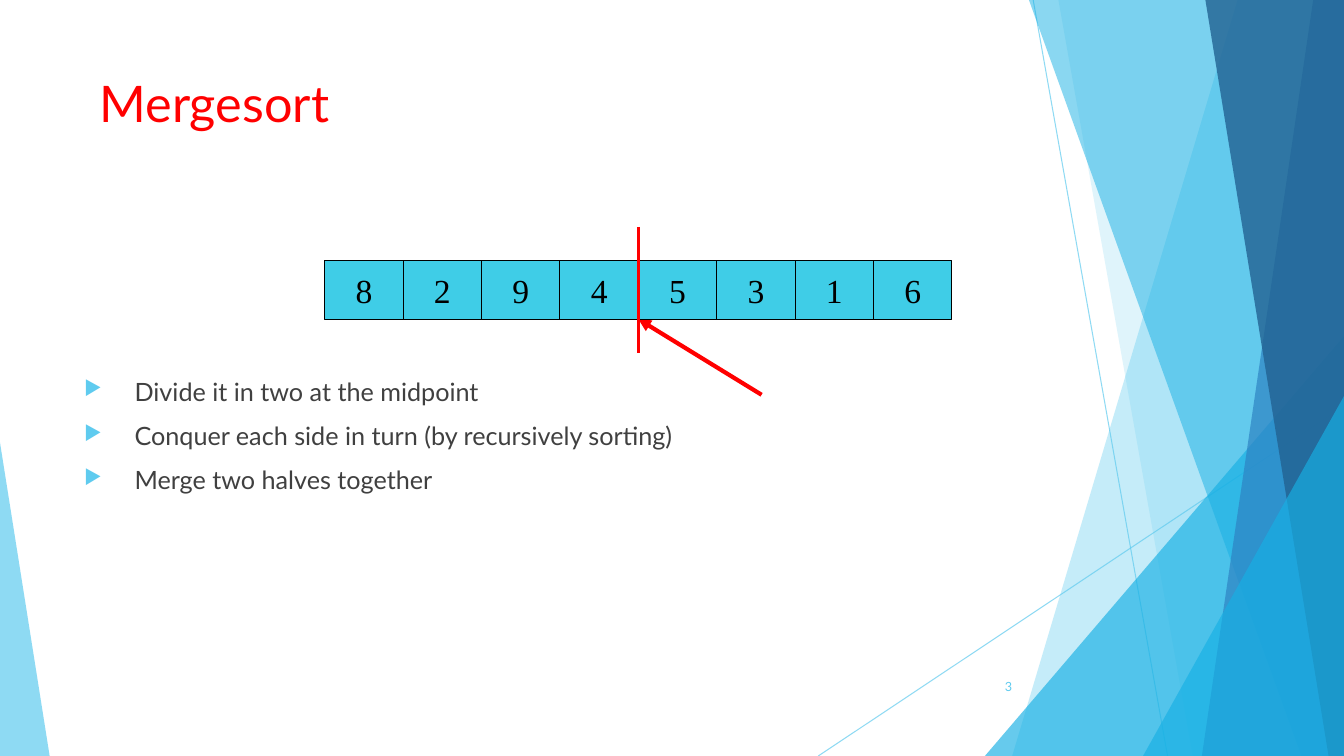
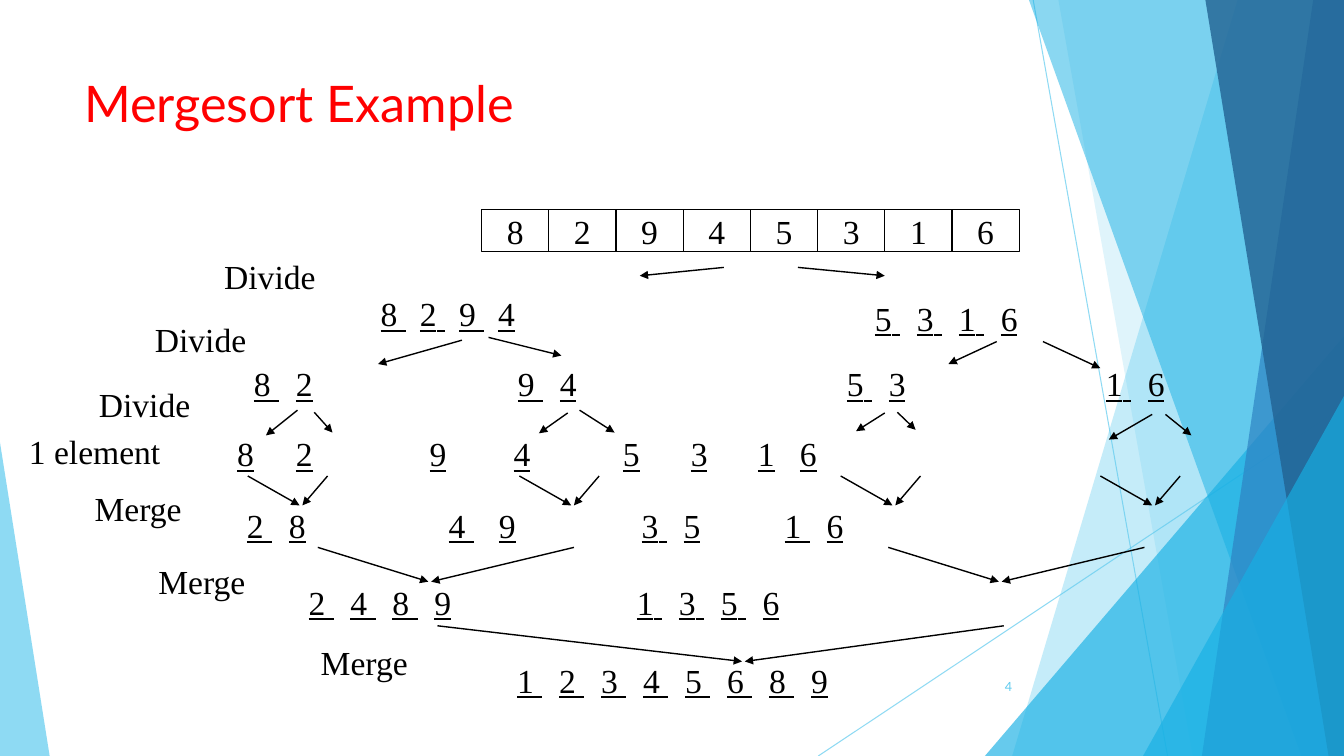
from dataclasses import dataclass

import lxml.etree
import pptx
import pptx.dml.color
import pptx.enum.shapes
import pptx.enum.text
import pptx.oxml.ns
import pptx.util

Pt = pptx.util.Pt
qn = pptx.oxml.ns.qn
ALIGN = pptx.enum.text.PP_ALIGN
ANCHOR = pptx.enum.text.MSO_ANCHOR
SHAPE = pptx.enum.shapes.MSO_SHAPE


@dataclass(frozen=True)
class Theme:
    width: int = 960
    height: int = 540
    sans: str = "Lato"
    serif: str = "Times New Roman"
    title_size: int = 36
    body_size: int = 18
    diagram_size: int = 24
    number_size: int = 9
    red: str = "FF0000"
    black: str = "000000"
    grey: str = "404040"
    cell: str = "3FCDE7"
    sky: str = "5FCBEF"
    cyan: str = "17B0E4"
    blue: str = "2E83C3"
    navy: str = "226292"


T = Theme()
VALUES = "82945316"


def rgb(color):
    return pptx.dml.color.RGBColor.from_string(color)


def add_xml(parent, tag, **attrs):
    el = lxml.etree.SubElement(parent, qn(tag))
    for name, value in attrs.items():
        el.set(name, str(value))
    return el


def set_opacity(sp, percent):
    for clr in sp.element.spPr.iter(qn("a:srgbClr")):
        add_xml(clr, "a:alpha", val=percent * 1000)


def write_text(tf, text, *, size, font, color, align=ALIGN.LEFT,
               underline=False, gap=None):
    """Write one paragraph per line; gap is the width of each space in points."""
    for i, line in enumerate(text.split("\n")):
        p = tf.add_paragraph() if i else tf.paragraphs[0]
        p.alignment = align
        for piece in line if gap else [line]:
            r = p.add_run()
            r.text = piece
            r.font.size = Pt(size)
            r.font.name = font
            r.font.color.rgb = rgb(color)
            r.font.underline = underline
            if piece == " ":
                extra = gap - size / 4
                r._r.get_or_add_rPr().set("spc", str(round(extra * 100)))


def add_text(slide, text, x, y, w, h, anchor=ANCHOR.TOP, **fmt):
    tf = slide.shapes.add_textbox(Pt(x), Pt(y), Pt(w), Pt(h)).text_frame
    tf.word_wrap = True
    tf.vertical_anchor = anchor
    write_text(tf, text, **fmt)
    return tf


def add_line(slide, x1, y1, x2, y2, color=T.black, width=1, arrow=False):
    cn = slide.shapes.add_connector(
        pptx.enum.shapes.MSO_CONNECTOR.STRAIGHT, Pt(x1), Pt(y1), Pt(x2), Pt(y2))
    cn.line.color.rgb = rgb(color)
    cn.line.width = Pt(width)
    if arrow:
        add_xml(cn.element.spPr.find(qn("a:ln")), "a:tailEnd", type="triangle")
    add_xml(cn.element.spPr, "a:effectLst")
    return cn


def fill_plain(sp, color, opacity):
    sp.shadow.inherit = False
    sp.fill.solid()
    sp.fill.fore_color.rgb = rgb(color)
    sp.line.fill.background()
    set_opacity(sp, opacity)


def add_band(slide, top_x, bottom_x, color, opacity):
    """Fill from a slanted left edge to the right side of the slide."""
    fb = slide.shapes.build_freeform(Pt(top_x), 0)
    fb.add_line_segments([(Pt(T.width), 0), (Pt(T.width), Pt(T.height)),
                          (Pt(bottom_x), Pt(T.height))])
    fill_plain(fb.convert_to_shape(), color, opacity)


def add_corner(slide, x, y, w, peak, color, opacity):
    """Stand a triangle on the bottom edge; peak is 0 for left, 1 for right."""
    sp = slide.shapes.add_shape(SHAPE.ISOSCELES_TRIANGLE, Pt(x), Pt(y),
                                Pt(w), Pt(T.height - y))
    sp.adjustments[0] = peak
    fill_plain(sp, color, opacity)


def add_decoration(slide):
    for ends in [(738, 0, 834, T.height), (T.width, 290, 584.5, T.height)]:
        set_opacity(add_line(slide, *ends, color=T.sky, width=0.75), 70)
    add_band(slide, 884, 723, T.sky, 36)
    add_band(slide, 756, 852, T.sky, 20)
    add_corner(slide, 703.5, 240, 256.5, 1, T.cyan, 66)
    add_band(slide, 735, 929.5, T.cyan, 50)
    add_band(slide, 938, 858.5, T.blue, 70)
    add_band(slide, 861, 949, T.navy, 80)
    add_corner(slide, 816.5, 283, 143.5, 1, T.cyan, 66)
    add_corner(slide, 0, 316, 35.5, 0, T.sky, 70)


def add_slide(prs, title, title_x, number):
    slide = prs.slides.add_slide(prs.slide_layouts[6])
    add_decoration(slide)
    add_text(slide, str(number), 676, 476, 54, 29, anchor=ANCHOR.MIDDLE,
             size=T.number_size, font=T.sans, color=T.sky, align=ALIGN.RIGHT)
    add_text(slide, title, title_x, 48, 670, 90,
             size=T.title_size, font=T.sans, color=T.red)
    return slide


def add_array(slide, x, y, w, h, fill=None):
    for i, value in enumerate(VALUES):
        sp = slide.shapes.add_shape(SHAPE.RECTANGLE, Pt(x + i * w), Pt(y),
                                    Pt(w), Pt(h))
        sp.shadow.inherit = False
        if fill:
            sp.fill.solid()
            sp.fill.fore_color.rgb = rgb(fill)
        else:
            sp.fill.background()
        sp.line.color.rgb = rgb(T.black)
        sp.line.width = Pt(0.75)
        tf = sp.text_frame
        tf.margin_top = tf.margin_bottom = 0
        tf.vertical_anchor = ANCHOR.MIDDLE
        write_text(tf, value, size=T.diagram_size, font=T.serif,
                   color=T.black, align=ALIGN.CENTER)


def add_bullets(slide, text, x, y, w, h):
    tf = add_text(slide, text, x, y, w, h,
                  size=T.body_size, font=T.sans, color=T.grey)
    for p in tf.paragraphs:
        p.space_before = Pt(10)
        pPr = p._p.get_or_add_pPr()
        pPr.set("marL", str(Pt(36)))
        pPr.set("indent", str(-Pt(36)))
        add_xml(add_xml(pPr, "a:buClr"), "a:srgbClr", val=T.sky)
        add_xml(pPr, "a:buSzPct", val=80000)
        add_xml(pPr, "a:buChar", char="▶")


def add_numbers(slide, text, x, y, gap=18):
    """Underline a list of digits whose first digit starts at x."""
    w = 20 + text.count(" ") * gap + len(text.split()) * T.diagram_size / 2
    add_text(slide, text, x - 7.2, y, w, 36, size=T.diagram_size,
             font=T.serif, color=T.black, underline=True, gap=gap)


def add_merge_arrows(slide, x, y, spread, meet, drop):
    """Join two arrows that start spread apart and meet below."""
    add_line(slide, x, y, x + meet, y + drop, arrow=True)
    add_line(slide, x + spread, y, x + meet + 2, y + drop, arrow=True)


def build_steps(prs):
    slide = add_slide(prs, "Mergesort", 64, 3)
    add_bullets(slide, "Divide it in two at the midpoint\n"
                "Conquer each side in turn (by recursively sorting)\n"
                "Merge two halves together", 53, 265, 677, 110)
    add_line(slide, 544, 282, 456, 228, color=T.red, width=3, arrow=True)
    add_array(slide, 232, 186, 56, 42, fill=T.cell)
    add_line(slide, 456, 162, 456, 252, color=T.red, width=2.25)


def build_example(prs):
    slide = add_slide(prs, "Mergesort Example", 53, 4)
    add_array(slide, 344, 150, 48, 30)

    add_numbers(slide, "8 2 9 4", 272, 206, gap=16)
    add_numbers(slide, "5 3 1 6", 625, 209)
    pairs = [("8 2", 181.5), ("9 4", 370), ("5 3", 605), ("1 6", 790)]
    for text, x in pairs:
        add_numbers(slide, text, x, 256)
    element_xs = [169.5, 211.5, 307, 367, 445, 493.5, 541.5, 571.5]
    for value, x in zip(VALUES, element_xs):
        add_numbers(slide, value, x, 306)
    add_numbers(slide, "2 8", 176.5, 357)
    add_numbers(slide, "4 9", 320.5, 357, gap=24)
    add_numbers(slide, "3 5", 458.5, 357)
    add_numbers(slide, "1 6", 560.5, 357)
    add_numbers(slide, "2 4 8 9", 220.5, 412)
    add_numbers(slide, "1 3 5 6", 455, 412)
    add_numbers(slide, "1 2 3 4 5 6 8 9", 369.5, 467.5)

    divide_arrows = [
        (517, 191, 457, 197), (570, 191, 632, 197),
        (330, 243, 270, 260), (349, 241, 401, 254),
        (712, 244, 677.5, 260), (745, 244, 786, 263),
        (212.5, 293, 190, 311), (224.5, 294.5, 237.5, 309),
        (405.5, 295, 385, 309.5), (414, 293, 439, 309),
        (632, 295, 611.5, 308), (641, 294.5, 654, 307),
        (823, 296, 792, 314), (832.5, 296, 851, 311),
    ]
    for ends in divide_arrows:
        add_line(slide, *ends, arrow=True)
    for x in (177, 371, 600.5, 786):
        add_merge_arrows(slide, x, 340, 57, 37, 21)
    for x in (227, 634.5):
        add_merge_arrows(slide, x, 391, 183, 79, 24.5)
    add_merge_arrows(slide, 312.5, 447, 404.5, 217.5, 25.5)

    labels = [("Divide", 153, 179), ("Divide", 103.5, 224.5),
              ("Divide", 63.5, 271), ("1 element", 13.5, 304),
              ("Merge", 60.5, 345), ("Merge", 106, 397),
              ("Merge", 222, 455)]
    for text, x, y in labels:
        add_text(slide, text, x, y, 120, 36, size=T.diagram_size,
                 font=T.serif, color=T.black)


def main():
    prs = pptx.Presentation()
    prs.slide_width, prs.slide_height = Pt(T.width), Pt(T.height)
    build_steps(prs)
    build_example(prs)
    prs.save("out.pptx")


if __name__ == "__main__":
    main()
